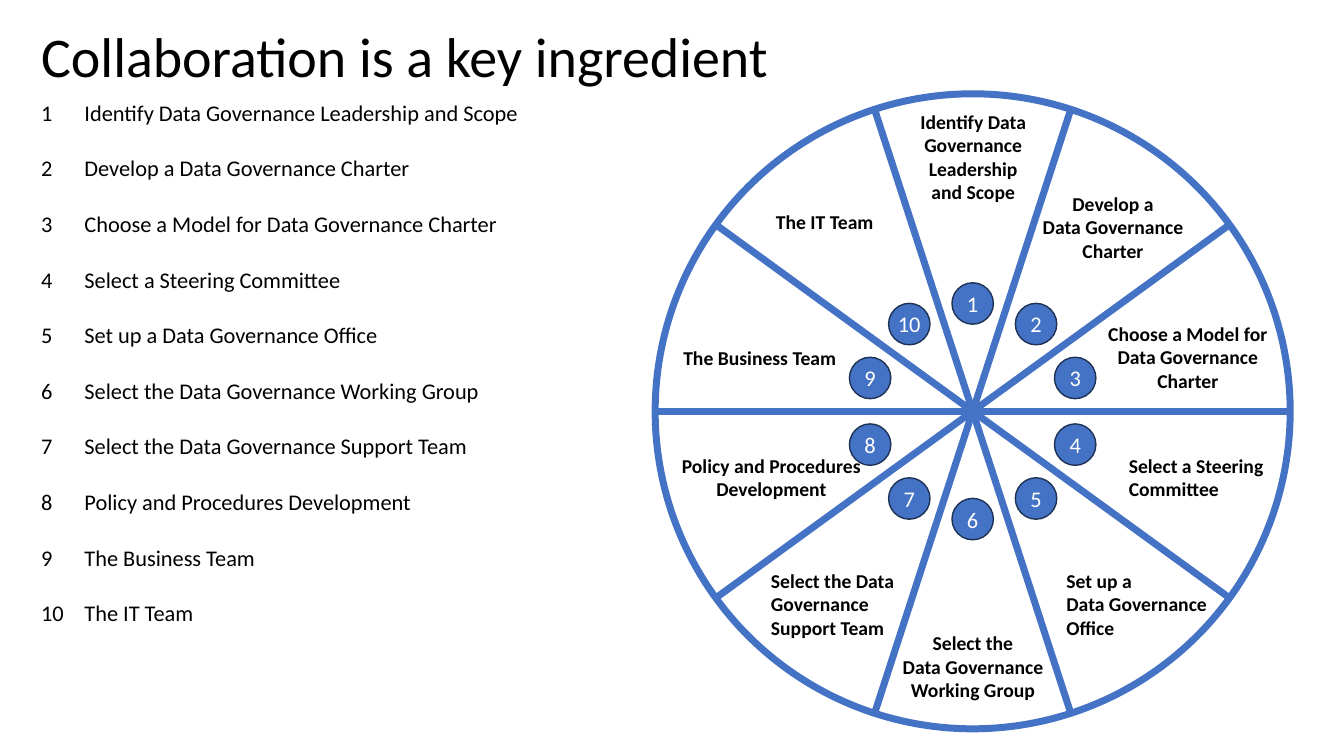
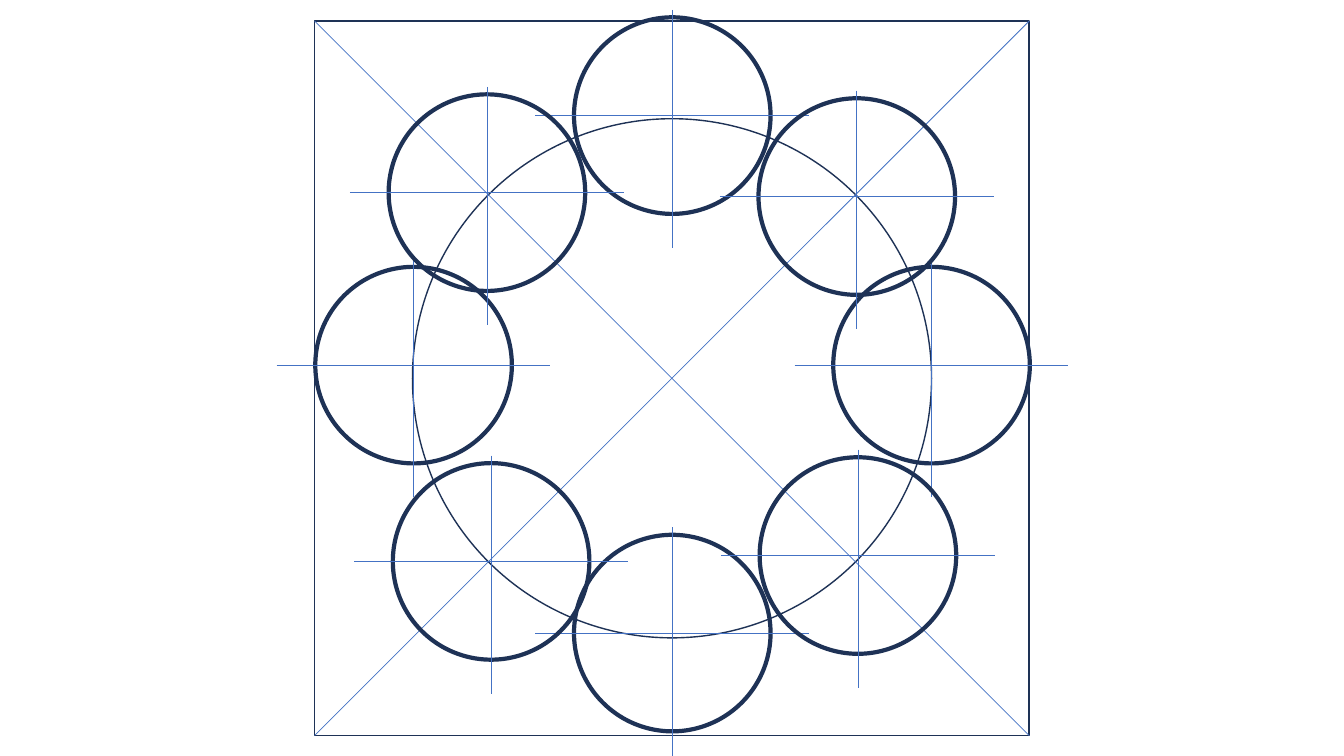
"""Build a wheel of ten roles and a plan of eight rings."""
from math import cos, radians, sin

from lxml import etree
from pptx import Presentation
from pptx.dml.color import RGBColor
from pptx.enum.shapes import MSO_CONNECTOR, MSO_SHAPE
from pptx.enum.text import MSO_ANCHOR, PP_ALIGN
from pptx.oxml.ns import qn
from pptx.util import Pt

OVAL, RECT = MSO_SHAPE.OVAL, MSO_SHAPE.RECTANGLE
LINE = MSO_CONNECTOR.STRAIGHT
LEFT, MID = PP_ALIGN.LEFT, PP_ALIGN.CENTER
CORE = MSO_ANCHOR.MIDDLE
WIDE, HIGH = 960, 540
HUES = {"ink": "000000", "blue": "4472C4", "navy": "1E3256", "white": "FFFFFF"}
FONT = {"name": "Calibri", "bold": False}
TITLE = {**FONT, "size": Pt(40)}
BODY = {**FONT, "size": Pt(16)}
LABEL = {**FONT, "size": Pt(14), "bold": True}
FLUSH = {"margin_left": 0, "margin_right": 0, "margin_top": 0,
         "margin_bottom": 0, "vertical_anchor": CORE, "word_wrap": False}

HUB = (694.8, 293.8)
ROLES = [
    ("Identify Data Governance Leadership and Scope", 648, 74.9, 94.3, MID),
    ("Develop a\nData Governance\nCharter", 735, 133.2, 120, MID),
    ("Choose a Model for\nData Governance\nCharter", 768, 226.1, 161, MID),
    ("Select a Steering\nCommittee", 799.2, 320.4, 116, LEFT),
    ("Set up a\nData Governance\nOffice", 754.6, 402.5, 120, LEFT),
    ("Select the\nData Governance\nWorking Group", 635, 447.1, 120, MID),
    ("Select the Data\nGovernance\nSupport Team", 543.6, 402.5, 110, LEFT),
    ("Policy and Procedures\nDevelopment", 476, 320.4, 150, MID),
    ("The Business Team", 481, 243.4, 130, LEFT),
    ("The IT Team", 547.2, 146.2, 92, LEFT),
]
RINGS = [(480.2, 82.6), (480.2, 452.2), (665.4, 260.8), (295.4, 260.8),
         (612, 140.4), (612.8, 396.8), (350.8, 401), (347.8, 137.6)]


def hue(name):
    """Return the colour of a name."""
    return RGBColor.from_string(HUES[name])


def write(frame, text, form, tint="ink", side=LEFT):
    """Fill a frame with styled text."""
    frame.text = text
    for para in frame.paragraphs:
        para.alignment = side
        for key, val in form.items():
            setattr(para.font, key, val)
        para.font.color.rgb = hue(tint)


def note(slide, text, box, form, side=LEFT):
    """Add a text box."""
    frame = slide.shapes.add_textbox(*map(Pt, box)).text_frame
    frame.word_wrap = True
    write(frame, text, form, side=side)


def shape(slide, kind, mid, half, edge, width, fill=None):
    """Add a shape as wide as it is high, set by its middle."""
    x, y = mid
    form = slide.shapes.add_shape(
        kind, Pt(x - half), Pt(y - half), Pt(2 * half), Pt(2 * half))
    form.shadow.inherit = False
    form.line.color.rgb = hue(edge)
    form.line.width = Pt(width)
    if fill:
        form.fill.solid()
        form.fill.fore_color.rgb = hue(fill)
    else:
        form.fill.background()
    return form


def rule(slide, start, end, width):
    """Add a straight blue line."""
    line = slide.shapes.add_connector(LINE, *map(Pt, (*start, *end)))
    line.line.color.rgb = hue("blue")
    line.line.width = Pt(width)
    etree.SubElement(line._element.spPr, qn("a:effectLst"))


def spot(mid, reach, turn):
    """Find the point at a clockwise turn from the top."""
    arc = radians(turn)
    return mid[0] + reach * sin(arc), mid[1] - reach * cos(arc)


def badge(slide, mid, text):
    """Add a round number."""
    disc = shape(slide, OVAL, mid, 14.8, "navy", 1, "blue")
    for key, val in FLUSH.items():
        setattr(disc.text_frame, key, val)
    write(disc.text_frame, text, BODY, "white", MID)


def target(slide, mid):
    """Add a ring with a cross through its middle."""
    x, y = mid
    shape(slide, OVAL, mid, 70.2, "navy", 3)
    rule(slide, (x, y - 75.6), (x, min(y + 94.4, HIGH)), 0.5)
    rule(slide, (x - 97.8, y), (x + 97.8, y), 0.5)


def wheel(slide):
    """Draw the list and the wheel of roles."""
    note(slide, "Collaboration is a key ingredient",
         (22.3, 11.5, 564, 55.4), TITLE)
    shape(slide, OVAL, HUB, 226.8, "blue", 5)
    for turn in range(18, 198, 36):
        rule(slide, spot(HUB, 226.8, turn), spot(HUB, 226.8, turn + 180), 5)
    for step, (text, x, y, width, side) in enumerate(ROLES):
        count, top = str(step + 1), 67.2 + 39.7 * step
        note(slide, count, (22.3, top, 31, 26.6), BODY)
        note(slide, text.replace("\n", " "), (53.3, top, 340, 26.6), BODY)
        rows = 4 if step == 0 else text.count("\n") + 1
        note(slide, text, (x, y, width, 7.4 + 17 * rows), LABEL, side)
        badge(slide, spot(HUB, 77, 36 * step), count)


def plan(slide):
    """Draw the square, its main ring and the eight targets."""
    mid, half = (480, 270.2), 255.2
    shape(slide, OVAL, mid, 185.4, "navy", 1)
    shape(slide, RECT, mid, half, "navy", 1)
    for sign in (1, -1):
        rule(slide, (mid[0] - half, mid[1] + sign * half),
             (mid[0] + half, mid[1] - sign * half), 0.5)
    for ring in RINGS:
        target(slide, ring)


def main():
    """Build and save the deck."""
    deck = Presentation()
    deck.slide_width, deck.slide_height = Pt(WIDE), Pt(HIGH)
    for draw in (wheel, plan):
        draw(deck.slides.add_slide(deck.slide_layouts[6]))
    deck.save("out.pptx")


if __name__ == "__main__":
    main()
